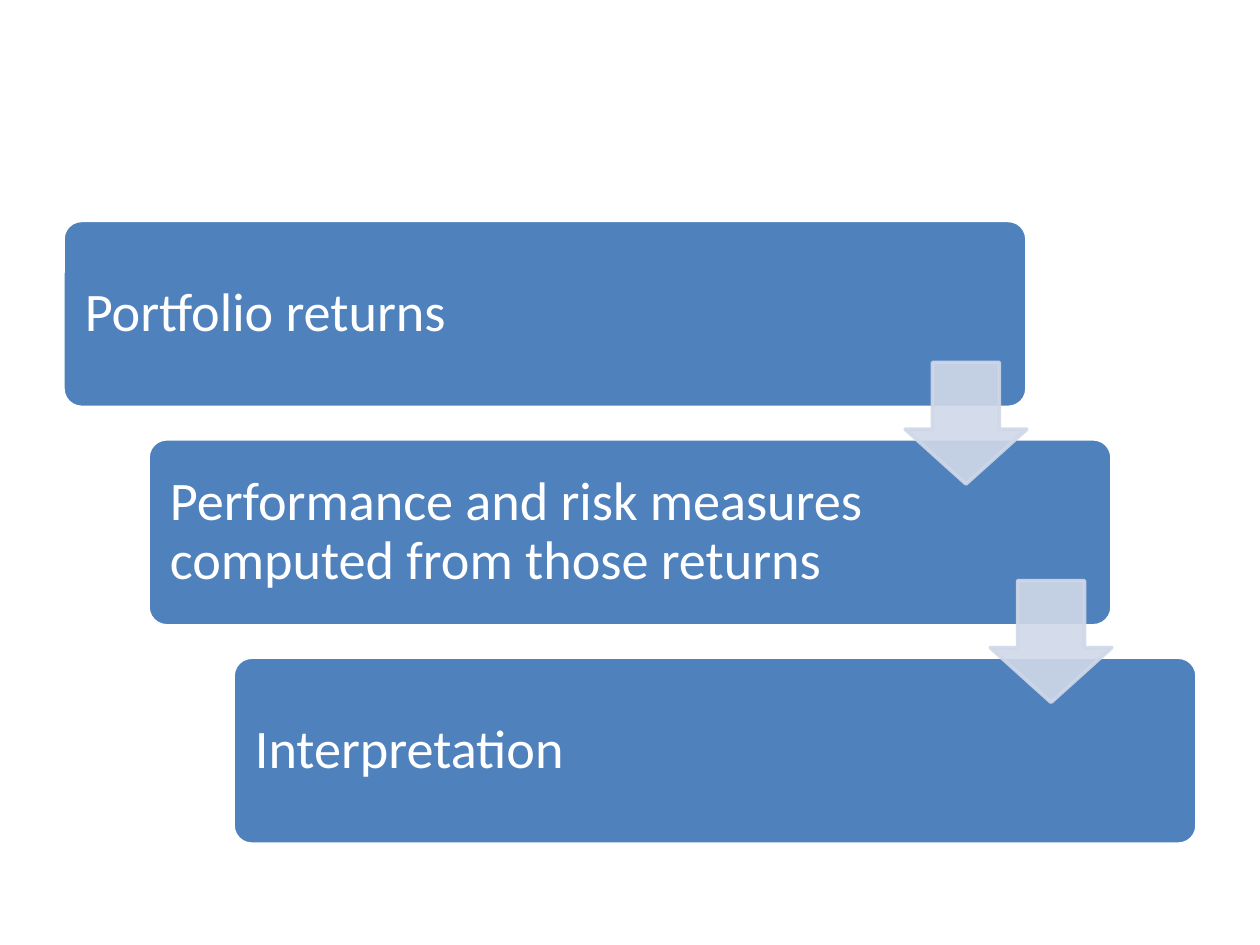
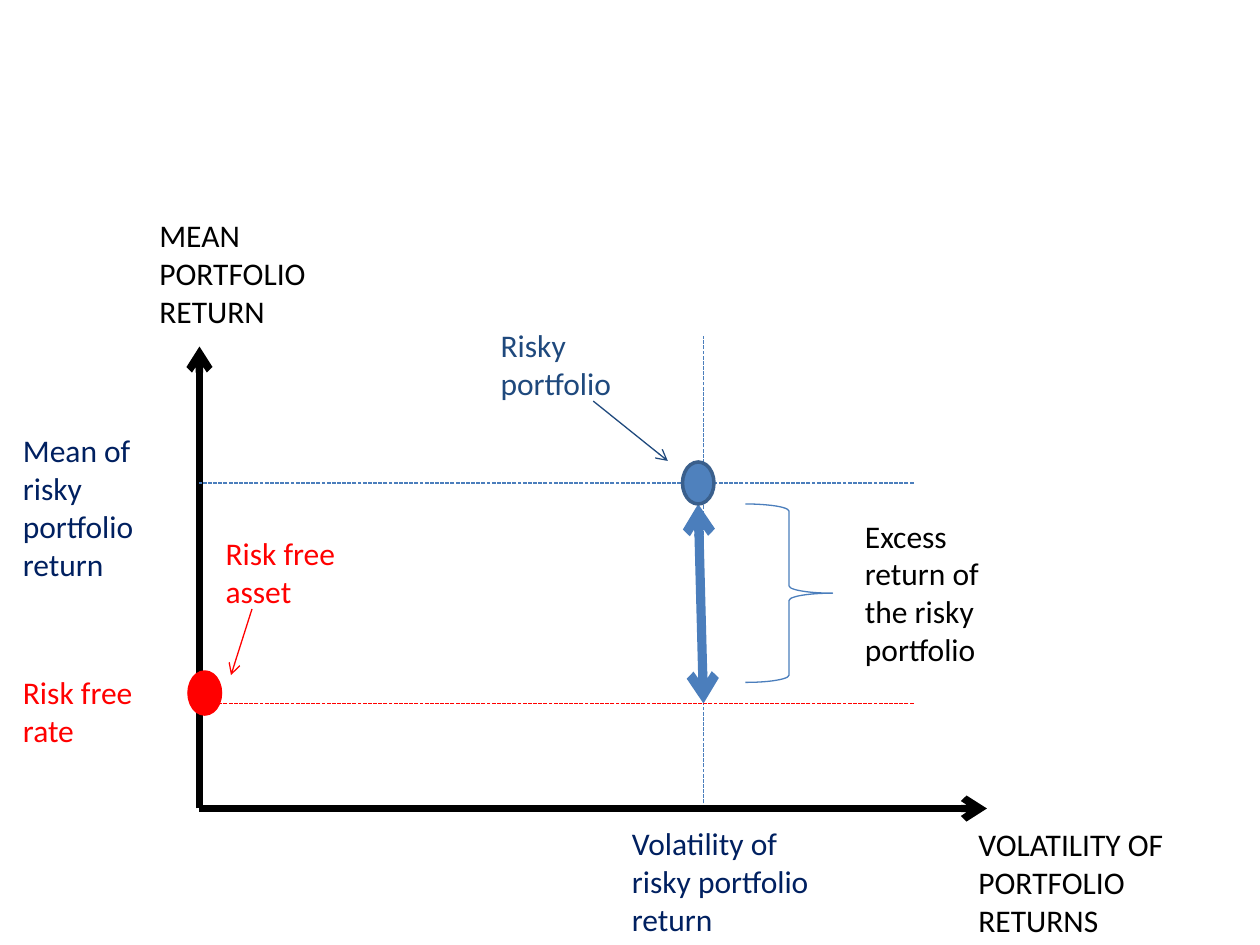
from dataclasses import dataclass

from lxml import etree
from pptx import Presentation
from pptx.dml.color import RGBColor
from pptx.enum.dml import MSO_LINE
from pptx.enum.shapes import MSO_CONNECTOR, MSO_SHAPE
from pptx.enum.text import MSO_ANCHOR, PP_ALIGN
from pptx.oxml.ns import qn
from pptx.shapes.autoshape import Shape
from pptx.slide import Slide
from pptx.util import Emu, Inches, Pt

ROUND = MSO_SHAPE.ROUNDED_RECTANGLE
DOWN = MSO_SHAPE.DOWN_ARROW
OVAL = MSO_SHAPE.OVAL
BRACE = MSO_SHAPE.RIGHT_BRACE
STRAIGHT = MSO_CONNECTOR.STRAIGHT
DASH = MSO_LINE.SQUARE_DOT
LEFT = PP_ALIGN.LEFT
MIDDLE = MSO_ANCHOR.MIDDLE

BLACK = RGBColor(0, 0, 0)
WHITE = RGBColor(0xFF, 0xFF, 0xFF)
RED = RGBColor(0xFF, 0, 0)
BLUE = RGBColor(0x4F, 0x81, 0xBD)
STEEL = RGBColor(0x4B, 0x7E, 0xBC)
RIM = RGBColor(0x3A, 0x5F, 0x8C)
DEEP = RGBColor(0x1F, 0x49, 0x7D)
NAVY = RGBColor(0, 0x20, 0x60)
PALE = RGBColor(0xD0, 0xD8, 0xE8)

FONT = "Calibri"
WIDTH, HEIGHT = Inches(10), Inches(7.5)
COLS, ROWS = 120, 90

STEPS = (
    "Portfolio returns",
    "Performance and risk measures computed from those returns",
    "Interpretation",
)
STEP_W, STEP_H = 91.8, 17.8
STEP_X, STEP_Y = 6, 21
SHIFT_X, SHIFT_Y = 8.1, 20.8
ARROW = 11.6
ARROW_X, ARROW_Y = 80.2, 13.5

ORIGIN_X, ORIGIN_Y = 19, 77
RISK_X = 67
MEAN_Y, FREE_Y = 46, 67
EDGE_X = 87


@dataclass(frozen=True)
class Line:
    x1: float
    y1: float
    x2: float
    y2: float
    color: RGBColor
    width: float = 0.75
    dashed: bool = False
    ends: tuple[str, ...] = ()


@dataclass(frozen=True)
class Label:
    x: float
    y: float
    w: float
    h: float
    text: str
    color: RGBColor


@dataclass(frozen=True)
class Dot:
    x: float
    y: float
    fill: RGBColor
    rim: RGBColor


HEAD, TAIL = "a:headEnd", "a:tailEnd"

LINES = (
    Line(RISK_X, ORIGIN_Y, RISK_X, 32, STEEL, dashed=True),
    Line(ORIGIN_X, ORIGIN_Y, 94, ORIGIN_Y, BLACK, 4.25, ends=(TAIL,)),
    Line(ORIGIN_X, ORIGIN_Y, ORIGIN_X, 33, BLACK, 4.25, ends=(TAIL,)),
    Line(EDGE_X, MEAN_Y, ORIGIN_X, MEAN_Y, STEEL, dashed=True),
    Line(EDGE_X, FREE_Y, ORIGIN_X, FREE_Y, RED, dashed=True),
    Line(24, 58, 22, 64.3, RED, ends=(TAIL,)),
    Line(56.5, 38.2, 63.6, 43.9, DEEP, ends=(TAIL,)),
    Line(66.5, 48, RISK_X, FREE_Y, STEEL, 5.25, ends=(HEAD, TAIL)),
)

DOTS = (Dot(18, 64, RED, RED), Dot(65, 44, BLUE, RIM))

LABELS = (
    Label(92, 78, 26, 12.1, "VOLATILITY OF PORTFOLIO RETURNS", BLACK),
    Label(14, 20, 17, 12.1, "MEAN PORTFOLIO\vRETURN", BLACK),
    Label(1, 63.5, 16, 8.5, "Risk free\nrate", RED),
    Label(20.3, 50.3, 17.5, 8.5, "Risk free asset", RED),
    Label(46.5, 30.5, 17.5, 8.5, "Risky portfolio", DEEP),
    Label(1, 40.5, 18, 15.7, "Mean of risky portfolio return", NAVY),
    Label(59, 77.9, 20.3, 12.1, "Volatility of risky portfolio return", NAVY),
    Label(81.2, 48.6, 17, 15.7, "Excess return of the risky portfolio", BLACK),
)


def col(n: float) -> Emu:
    return Emu(round(WIDTH * n / COLS))


def row(n: float) -> Emu:
    return Emu(round(HEIGHT * n / ROWS))


def put(slide: Slide, kind: MSO_SHAPE, x: float, y: float, w: float, h: float,
        fill: RGBColor | None, rim: RGBColor, width: float = 2) -> Shape:
    shape = slide.shapes.add_shape(kind, col(x), row(y), col(w), row(h))
    shape.shadow.inherit = False
    if fill is None:
        shape.fill.background()
    else:
        shape.fill.solid()
        shape.fill.fore_color.rgb = fill
    shape.line.color.rgb = rim
    shape.line.width = Pt(width)
    return shape


def write(shape: Shape, text: str, size: int, color: RGBColor) -> None:
    frame = shape.text_frame
    frame.word_wrap = True
    frame.text = text
    for para in frame.paragraphs:
        para.alignment = LEFT
        para.font.name = FONT
        para.font.size = Pt(size)
        para.font.color.rgb = color


def fade(shape: Shape, share: int) -> None:
    for tint in shape.element.spPr.iter(qn("a:srgbClr")):
        etree.SubElement(tint, qn("a:alpha"), val=str(share * 1000))


def draw_step(slide: Slide, index: int, text: str) -> None:
    box = put(slide, ROUND, STEP_X + index * SHIFT_X, STEP_Y + index * SHIFT_Y,
              STEP_W, STEP_H, BLUE, WHITE)
    box.adjustments[0] = 0.1
    write(box, text, 31, WHITE)
    frame = box.text_frame
    frame.vertical_anchor = MIDDLE
    frame.margin_left = frame.margin_top = frame.margin_bottom = Inches(0.13)
    frame.margin_right = Inches(1.78)
    frame.paragraphs[0].line_spacing = 0.9


def draw_arrow(slide: Slide, index: int) -> None:
    arrow = put(slide, DOWN, STEP_X + ARROW_X + index * SHIFT_X,
                STEP_Y + ARROW_Y + index * SHIFT_Y, ARROW, ARROW, PALE, PALE)
    arrow.adjustments[0] = 0.55
    arrow.adjustments[1] = 0.45
    fade(arrow, 90)


def draw_line(slide: Slide, item: Line) -> None:
    line = slide.shapes.add_connector(
        STRAIGHT, col(item.x1), row(item.y1), col(item.x2), row(item.y2))
    line.line.color.rgb = item.color
    line.line.width = Pt(item.width)
    if item.dashed:
        line.line.dash_style = DASH
    props = line.element.spPr
    for end in item.ends:
        etree.SubElement(props.find(qn("a:ln")), qn(end), type="arrow")
    etree.SubElement(props, qn("a:effectLst"))


def draw_label(slide: Slide, item: Label) -> None:
    box = slide.shapes.add_textbox(
        col(item.x), row(item.y), col(item.w), row(item.h))
    write(box, item.text, 18, item.color)


def build_flow(slide: Slide) -> None:
    for index, text in enumerate(STEPS):
        draw_step(slide, index, text)
    for index in range(len(STEPS) - 1):
        draw_arrow(slide, index)


def build_graph(slide: Slide) -> None:
    for line in LINES:
        draw_line(slide, line)
    for dot in DOTS:
        put(slide, OVAL, dot.x, dot.y, 3, 4, dot.fill, dot.rim)
    put(slide, BRACE, 71, 48, 8.3, 17, None, STEEL, 0.75)
    for label in LABELS:
        draw_label(slide, label)


def main() -> None:
    deck = Presentation()
    deck.slide_width, deck.slide_height = WIDTH, HEIGHT
    blank = deck.slide_layouts[6]
    for build in (build_flow, build_graph):
        build(deck.slides.add_slide(blank))
    deck.save("out.pptx")


if __name__ == "__main__":
    main()
